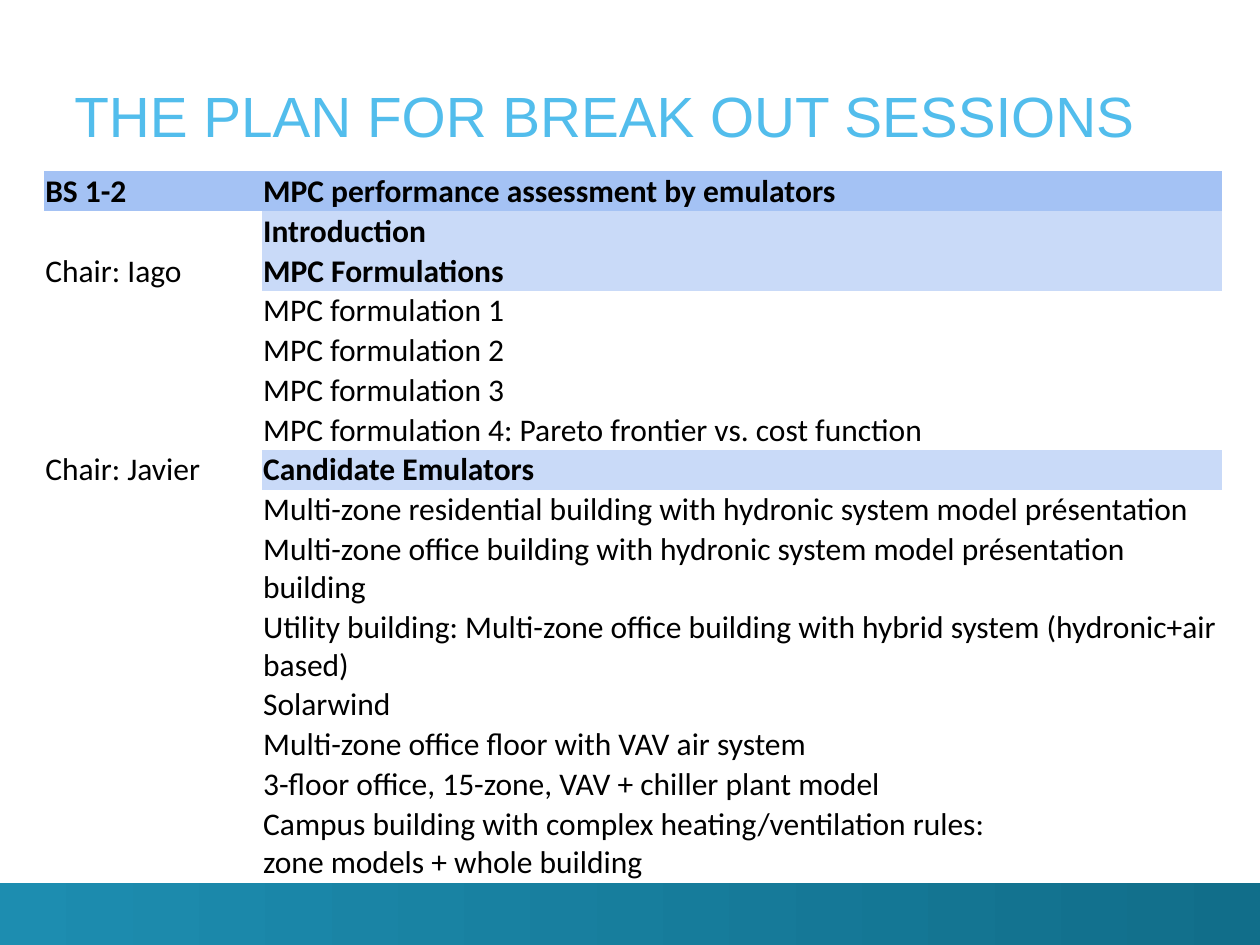
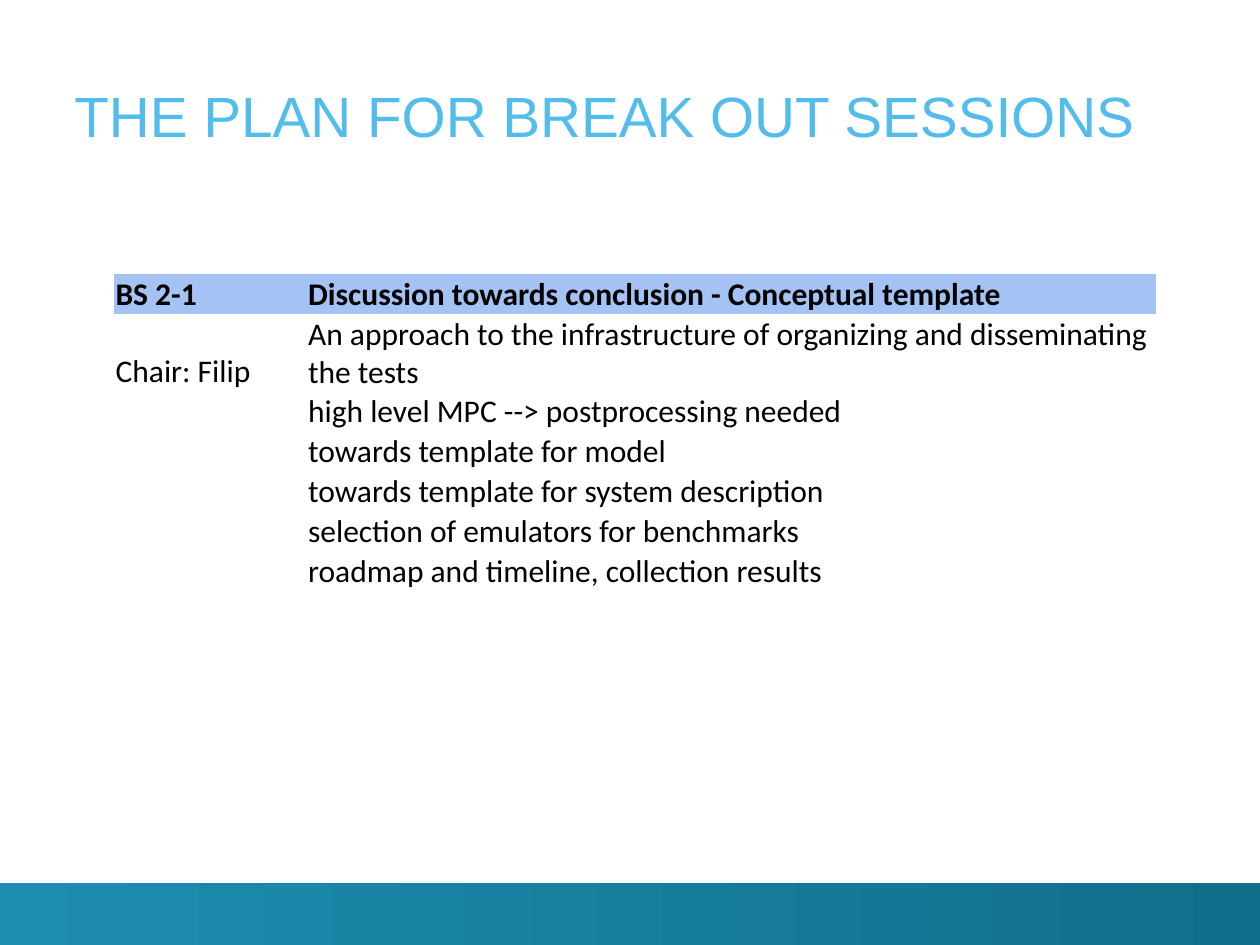
from pptx import Presentation
from pptx.dml.color import RGBColor
from pptx.enum.shapes import MSO_SHAPE
from pptx.enum.text import MSO_ANCHOR
from pptx.oxml.ns import qn
from pptx.util import Pt

SKY = RGBColor(0x52, 0xBD, 0xEC)
BAND_LEFT = RGBColor(0x1D, 0x8D, 0xB0)
BAND_RIGHT = RGBColor(0x11, 0x6E, 0x8A)
SESSION_BLUE = RGBColor(0xA4, 0xC2, 0xF4)
TOPIC_BLUE = RGBColor(0xC9, 0xDA, 0xF8)
BLACK = RGBColor(0, 0, 0)

PLAIN_TABLE_STYLE = "{2D5ABB26-0587-4C30-8999-92F81FD0307C}"
ROW_HEIGHT = Pt(13)
TITLE = "THE PLAN FOR BREAK OUT SESSIONS"
TITLE_BOX = (Pt(42.5), Pt(14.4), Pt(656), Pt(70.6))
BAND_BOX = (Pt(0), Pt(504.7), Pt(720), Pt(38.2))

TITLE_FONT = {"name": "Arial", "size": Pt(32.4)}
BODY_FONT = {"name": "Calibri", "size": Pt(18)}
TITLE_FRAME = {"word_wrap": True, "vertical_anchor": MSO_ANCHOR.BOTTOM,
               "margin_left": 0, "margin_right": 0, "margin_top": 0, "margin_bottom": 0}
CELL_FORMAT = {"vertical_anchor": MSO_ANCHOR.BOTTOM, "margin_left": Pt(0.7),
               "margin_right": Pt(0.7), "margin_top": Pt(0.7), "margin_bottom": Pt(0.45)}

EMULATOR_AGENDA = [
    ("BS 1-2", "MPC performance assessment by emulators"),
    ("", "Introduction"),
    ("Chair: Iago", "MPC Formulations"),
    ("", "MPC formulation 1"),
    ("", "MPC formulation 2"),
    ("", "MPC formulation 3"),
    ("", "MPC formulation 4: Pareto frontier vs. cost function"),
    ("Chair: Javier", "Candidate Emulators"),
    ("", "Multi-zone residential building with hydronic system model présentation"),
    ("", "Multi-zone office building with hydronic system model présentation building"),
    ("", "Utility building: Multi-zone office building with hybrid system (hydronic+air based)"),
    ("", "Solarwind"),
    ("", "Multi-zone office floor with VAV air system"),
    ("", "3-floor office, 15-zone, VAV + chiller plant model"),
    ("", "Campus building with complex heating/ventilation rules:\vzone models + whole building"),
    ("", ""),
]
EMULATOR_TOPICS = {"Introduction", "MPC Formulations", "Candidate Emulators"}

CONCLUSION_AGENDA = [
    ("BS 2-1", "Discussion towards conclusion - Conceptual template"),
    ("Chair: Filip", "An approach to the infrastructure of organizing and disseminating the tests"),
    ("", "high level MPC --> postprocessing needed"),
    ("", "towards template for model"),
    ("", "towards template for system description"),
    ("", "selection of emulators for benchmarks"),
    ("", "roadmap and timeline, collection results"),
]

SESSIONS = [
    (EMULATOR_AGENDA, EMULATOR_TOPICS, (Pt(25.2), Pt(97.9)), (Pt(124.5), Pt(548.6))),
    (CONCLUSION_AGENDA, set(), (Pt(65.4), Pt(156.8)), (Pt(110), Pt(485.2))),
]


def apply_format(target, values):
    """Set each named attribute on the target."""
    for name, value in values.items():
        setattr(target, name, value)


def style_runs(text_frame, font_values, color):
    """Format every run in the text frame."""
    for paragraph in text_frame.paragraphs:
        for run in paragraph.runs:
            apply_format(run.font, font_values)
            run.font.color.rgb = color


def add_band(slide, box):
    """Draw the footer band with its left-to-right gradient."""
    band = slide.shapes.add_shape(MSO_SHAPE.RECTANGLE, *box)
    band.shadow.inherit = False
    band.line.fill.background()
    band.fill.gradient()
    band.fill.gradient_angle = 0
    for stop, position, color in zip(band.fill.gradient_stops, (0, 1), (BAND_LEFT, BAND_RIGHT)):
        stop.position = position
        stop.color.rgb = color


def add_title(slide, box):
    """Write the slide title at the bottom of its box."""
    heading = slide.shapes.add_textbox(*box).text_frame
    apply_format(heading, TITLE_FRAME)
    heading.text = TITLE
    style_runs(heading, TITLE_FONT, SKY)


def fill_cell(cell, wording, background):
    """Write one agenda cell, bold where it has a background."""
    apply_format(cell, CELL_FORMAT)
    cell.text = wording
    style_runs(cell.text_frame, BODY_FONT | {"bold": background is not None}, BLACK)
    if background is None:
        cell.fill.background()
    else:
        cell.fill.solid()
        cell.fill.fore_color.rgb = background


def add_agenda(slide, agenda, topics, corner, widths):
    """Build the session table from its top left corner and column widths."""
    frame = slide.shapes.add_table(len(agenda), len(widths), *corner,
                                   sum(widths), ROW_HEIGHT * len(agenda))
    schedule = frame.table
    apply_format(schedule, {"first_row": False, "horz_banding": False})
    for style in frame.element.iter(qn("a:tableStyleId")):
        style.text = PLAIN_TABLE_STYLE
    for column, width in zip(schedule.columns, widths):
        column.width = width
    for row_index, entry in enumerate(agenda):
        for column_index, wording in enumerate(entry):
            topic_color = TOPIC_BLUE if wording in topics else None
            background = SESSION_BLUE if row_index == 0 else topic_color
            fill_cell(schedule.cell(row_index, column_index), wording, background)


def add_session_slide(deck, agenda, topics, corner, widths):
    """Add one slide with band, title and agenda."""
    slide = deck.slides.add_slide(deck.slide_layouts[6])
    add_band(slide, BAND_BOX)
    add_title(slide, TITLE_BOX)
    add_agenda(slide, agenda, topics, corner, widths)


def main():
    """Build and save the deck."""
    deck = Presentation()
    apply_format(deck, {"slide_width": Pt(720), "slide_height": Pt(540)})
    for session in SESSIONS:
        add_session_slide(deck, *session)
    deck.save("out.pptx")


if __name__ == "__main__":
    main()
